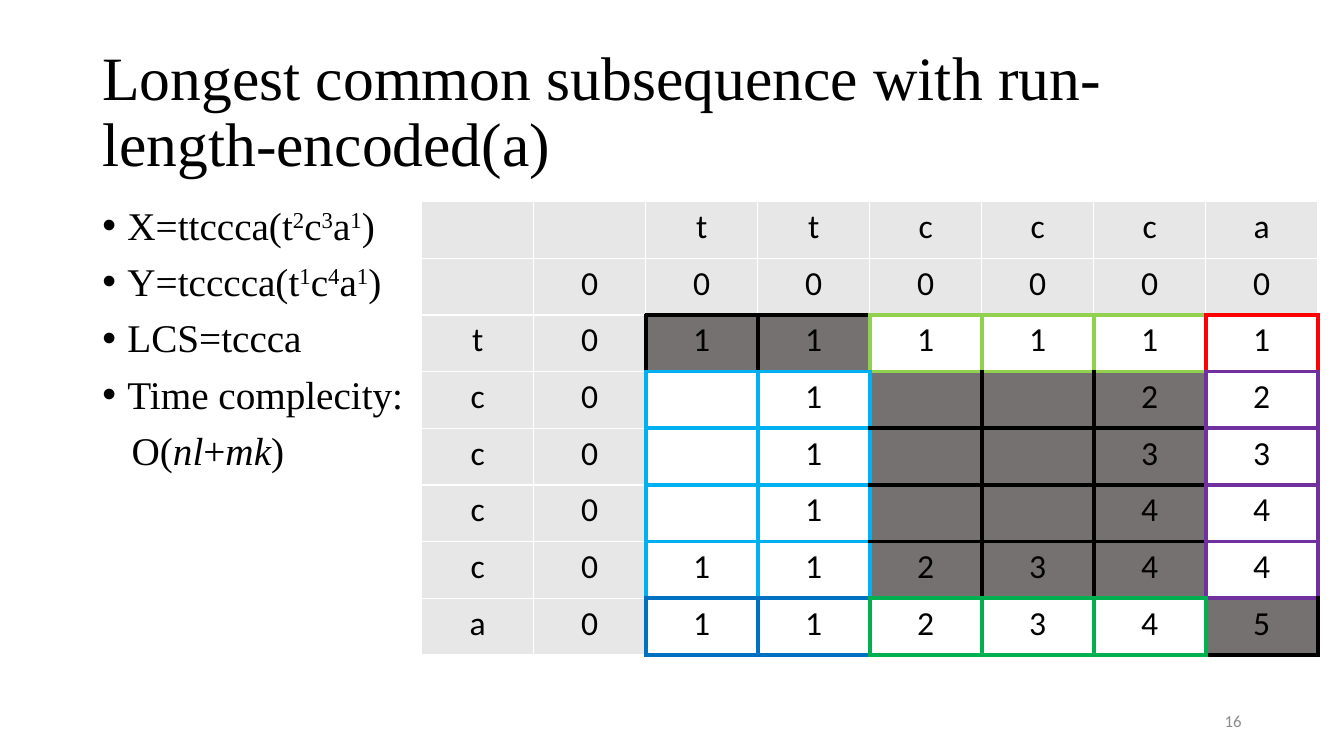
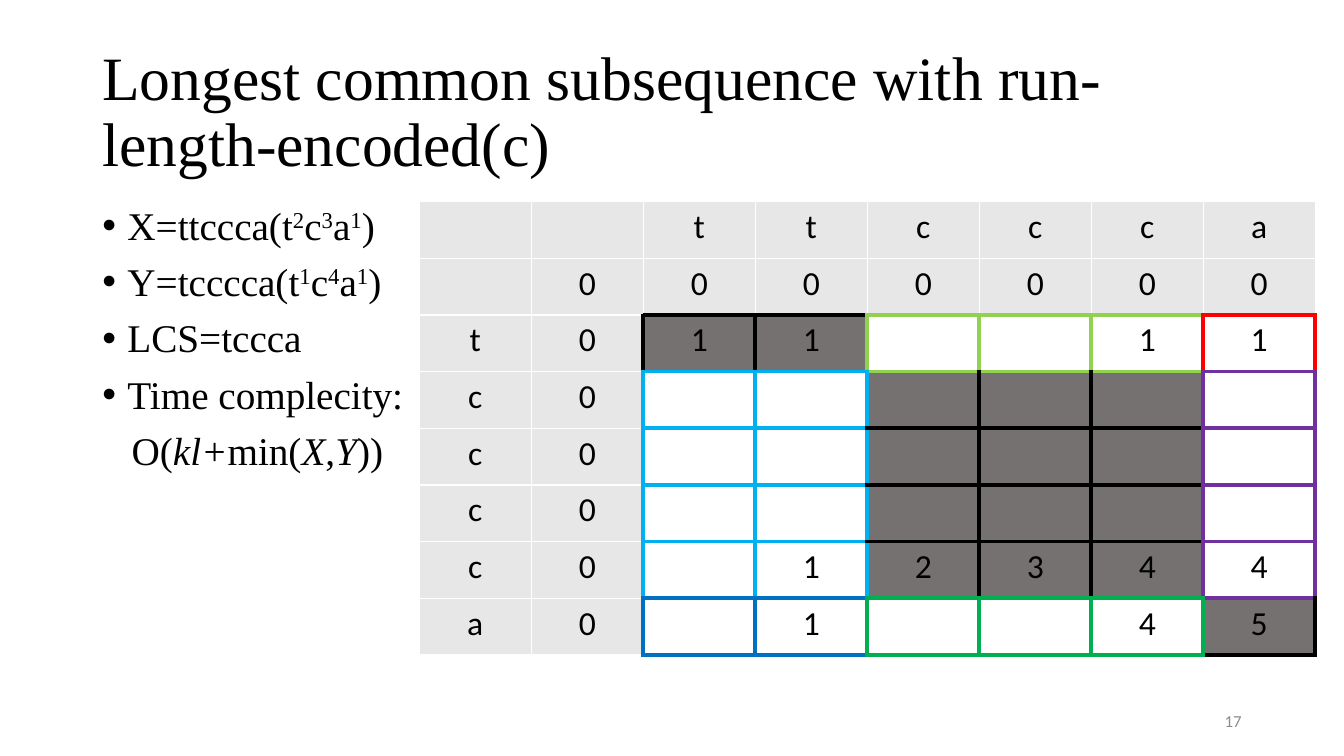
from lxml.etree import SubElement
from pptx import Presentation
from pptx.dml.color import RGBColor
from pptx.enum.text import MSO_ANCHOR, PP_ALIGN
from pptx.oxml.ns import qn
from pptx.util import Pt

BLACK = RGBColor(0x00, 0x00, 0x00)
WHITE = RGBColor(0xFF, 0xFF, 0xFF)
HEADER_GRAY = RGBColor(0xE7, 0xE7, 0xE7)
MATCH_GRAY = RGBColor(0x76, 0x71, 0x71)
NUMBER_GRAY = RGBColor(0x8C, 0x8C, 0x8C)
LIME = RGBColor(0x92, 0xD0, 0x50)
RED = RGBColor(0xFF, 0x00, 0x00)
SKY = RGBColor(0x00, 0xB0, 0xF0)
PURPLE = RGBColor(0x70, 0x30, 0xA0)
BLUE = RGBColor(0x00, 0x70, 0xC0)
GREEN = RGBColor(0x00, 0xB0, 0x50)

SERIF, SANS = "Times New Roman", "Calibri"
SLIDE_WIDTH, SLIDE_HEIGHT = Pt(960), Pt(540)

# Regions as left, top, width, height
TITLE_BOX = (Pt(66), Pt(28.75), Pt(828), Pt(104.5))
BODY_BOX = (Pt(66), Pt(143.75), Pt(828), Pt(342.5))
NUMBER_BOX = (Pt(678), Pt(500.5), Pt(216), Pt(28.75))
TABLE_TOP, TABLE_WIDTH, TABLE_HEIGHT = Pt(144), Pt(640), Pt(324)

COLUMN_WORD, ROW_WORD = "ttccca", "tcccca"
HEADER_COUNT = 2
GRID_SIZE = HEADER_COUNT + len(COLUMN_WORD)

# Border colour of each block: row letter, then column letter
BLOCK_COLORS = {
    "tt": BLACK, "tc": LIME, "ta": RED,
    "ct": SKY, "cc": BLACK, "ca": PURPLE,
    "at": BLUE, "ac": GREEN, "aa": BLACK,
}

# Parts between bars alternate between plain and styled
WORD_LINES = ["X=ttccca(t|2|c|3|a|1|)", "Y=tcccca(t|1|c|4|a|1|)",
              "LCS=tccca", "Time complecity:"]

# Title, time bound, table left, cell values by row (a dot is an empty cell)
SLIDES = [
    ("Longest common subsequence with run-length-encoded(a)",
     "O(|nl|+|mk|)", Pt(301.25),
     ["111111", ".1..22", ".1..33", ".1..44", "112344", "112345"]),
    ("Longest common subsequence with run-length-encoded(c)",
     "O(|kl+|min(|X|,|Y|))", Pt(299.5),
     ["11..11", "......", "......", "......", ".12344", ".1..45"]),
]


def style_font(font, name, size, color=BLACK):
    font.name = name
    font.size = Pt(size)
    font.color.rgb = color


def add_text_frame(page, box, anchor):
    frame = page.shapes.add_textbox(*box).text_frame
    frame.word_wrap = True
    frame.vertical_anchor = anchor
    return frame


# Title and slide number
def add_title(page, box, title):
    para = add_text_frame(page, box, MSO_ANCHOR.MIDDLE).paragraphs[0]
    para.text = title
    para.line_spacing = 0.9
    style_font(para.runs[0].font, SERIF, 44)


def add_slide_number(page, box, number):
    para = add_text_frame(page, box, MSO_ANCHOR.MIDDLE).paragraphs[0]
    para.text = str(number)
    para.alignment = PP_ALIGN.RIGHT
    style_font(para.runs[0].font, SANS, 12, NUMBER_GRAY)


# Body text
def set_indent(para, left, first_line):
    properties = para._p.get_or_add_pPr()
    properties.set("marL", str(left))
    properties.set("indent", str(first_line))
    return properties


def add_bullet(para):
    properties = set_indent(para, Pt(18), -Pt(18))
    SubElement(properties, qn("a:buFont"), typeface="Arial")
    SubElement(properties, qn("a:buChar"), char="•")


def add_spans(para, line, apply_style):
    for index, part in enumerate(line.split("|")):
        span = para.add_run()
        span.text = part
        style_font(span.font, SERIF, 28)
        if index % 2:
            apply_style(span)


def make_superscript(span):
    span._r.get_or_add_rPr().set("baseline", "30000")


def make_italic(span):
    span.font.italic = True


def add_body(page, box, time_bound):
    frame = add_text_frame(page, box, MSO_ANCHOR.TOP)
    for index, line in enumerate([*WORD_LINES, time_bound]):
        para = frame.add_paragraph() if index else frame.paragraphs[0]
        if line == time_bound:
            set_indent(para, Pt(21), 0)
            add_spans(para, line, make_italic)
        else:
            add_bullet(para)
            add_spans(para, line, make_superscript)
        para.line_spacing = 0.9
        para.space_before = Pt(10 if index else 0)


# Table
def block_color(row, column):
    """Border colour of the block around a cell; None outside the blocks."""
    inside = range(HEADER_COUNT, GRID_SIZE)
    if row not in inside or column not in inside:
        return None
    return BLOCK_COLORS[ROW_WORD[row - HEADER_COUNT]
                        + COLUMN_WORD[column - HEADER_COUNT]]


def edge_color(first, second):
    """The later block owns a shared edge, but black gives way to colour."""
    if second is None or (second == BLACK and first is not None):
        return first
    return second


def add_border(cell, side, color):
    width = Pt(1) if color is None else Pt(3)
    line = SubElement(cell._tc.get_or_add_tcPr(), qn(f"a:ln{side}"),
                      w=str(width))
    fill = SubElement(line, qn("a:solidFill"))
    SubElement(fill, qn("a:srgbClr"), val=str(color or WHITE))


def style_cell(cell, row, column):
    own = block_color(row, column)
    add_border(cell, "L", edge_color(block_color(row, column - 1), own))
    add_border(cell, "R", edge_color(own, block_color(row, column + 1)))
    add_border(cell, "T", edge_color(block_color(row - 1, column), own))
    add_border(cell, "B", edge_color(own, block_color(row + 1, column)))
    cell.fill.solid()
    if own is None:
        cell.fill.fore_color.rgb = HEADER_GRAY
    else:
        cell.fill.fore_color.rgb = MATCH_GRAY if own == BLACK else WHITE


def add_score_table(page, box, values):
    table = page.shapes.add_table(GRID_SIZE, GRID_SIZE, *box).table
    table.first_row = table.horz_banding = False
    rows = [".." + COLUMN_WORD, "." + "0" * (GRID_SIZE - 1)]
    rows += [letter + "0" + scores
             for letter, scores in zip(ROW_WORD, values)]
    for row, entries in enumerate(rows):
        for column, entry in enumerate(entries):
            cell = table.cell(row, column)
            style_cell(cell, row, column)
            if entry != ".":
                para = cell.text_frame.paragraphs[0]
                para.text = entry
                para.alignment = PP_ALIGN.CENTER
                style_font(para.runs[0].font, SANS, 24)


def add_sequence_slide(deck, number, title, time_bound, table_left, values):
    page = deck.slides.add_slide(deck.slide_layouts[6])
    add_title(page, TITLE_BOX, title)
    add_body(page, BODY_BOX, time_bound)
    table_box = (table_left, TABLE_TOP, TABLE_WIDTH, TABLE_HEIGHT)
    add_score_table(page, table_box, values)
    add_slide_number(page, NUMBER_BOX, number)


def main():
    deck = Presentation()
    deck.slide_width, deck.slide_height = SLIDE_WIDTH, SLIDE_HEIGHT
    for number, content in enumerate(SLIDES, start=16):
        add_sequence_slide(deck, number, *content)
    deck.save("out.pptx")


if __name__ == "__main__":
    main()
